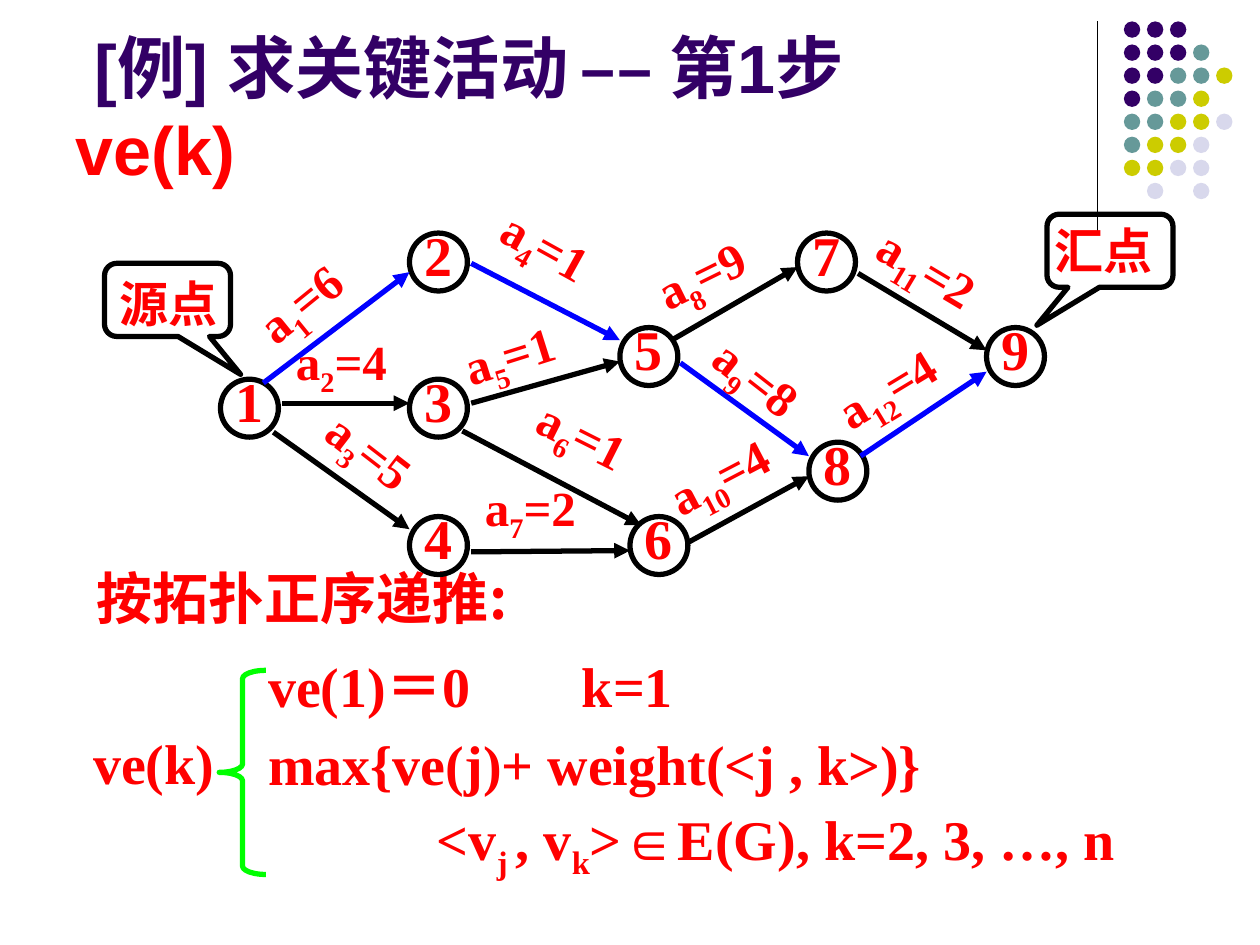
from dataclasses import dataclass

from lxml import etree
from pptx import Presentation
from pptx import util as u
from pptx.dml.color import RGBColor
from pptx.enum import shapes as s, text as t
from pptx.oxml.ns import qn


@dataclass(frozen=True)
class Theme:
    ink: str = "000000"
    red: str = "FF0000"
    blue: str = "0000FF"
    green: str = "00FF00"
    plum: str = "330066"
    teal: str = "669999"
    lime: str = "CCCC00"
    pale: str = "D8D8EC"
    head: int = 39
    body: int = 32
    label: int = 28
    line: float = 3
    sans: str = "Arial"
    serif: str = "Times New Roman"
    cjk: str = "Noto Sans CJK SC"


@dataclass(frozen=True)
class Node:
    name: str
    left: float
    top: float


@dataclass(frozen=True)
class Edge:
    """An arrow with its label; bars in the label enclose a subscript."""
    start: tuple[float, float]
    end: tuple[float, float]
    label: str
    spot: tuple[float, float]
    turn: float = 0
    wide: float = 1.42
    color: str = Theme.ink


@dataclass(frozen=True)
class Call:
    label: str
    box: tuple[float, float, float, float]
    spot: tuple[float, float]
    tip: float


T = Theme()
NODES = [
    Node("4", 3.25, 4.1), Node("3", 3.25, 3.01), Node("6", 5, 4.1),
    Node("2", 3.25, 1.85), Node("5", 4.92, 2.6), Node("1", 1.75, 3.01),
    Node("9", 7.83, 2.6), Node("7", 6.33, 1.85), Node("8", 6.42, 3.51),
]
EDGES = [
    Edge((2.09, 3.04), (3.25, 2.16), "a|1|=6", (1.91, 2.03), 320.9, 1.17, T.blue),
    Edge((2.24, 3.2), (3.25, 3.2), "a|2|=4", (2.25, 2.58)),
    Edge((2.17, 3.43), (3.25, 4.2), "a|3|=5", (2.41, 3.44), 37.7),
    Edge((3.74, 2.09), (4.92, 2.7), "a|4|=1", (3.83, 1.78), 28.9, color=T.blue),
    Edge((3.74, 3.2), (4.92, 2.87), "a|5|=1", (3.58, 2.45), 342.4),
    Edge((3.67, 3.42), (5.09, 4.17), "a|6|=1", (4.15, 3.18), 26.7, 1),
    Edge((3.74, 4.38), (5, 4.37), "a|7|=2", (3.75, 3.74)),
    Edge((5.33, 2.7), (6.33, 2.12), "a|8|=9", (5.09, 1.78), 333.8),
    Edge((5.4, 2.88), (6.42, 3.62), "a|9|=8", (5.48, 2.86), 38, color=T.blue),
    Edge((5.47, 4.3), (6.42, 3.78), "a|10|=4", (5.18, 3.4), 332.4),
    Edge((6.81, 2.17), (7.83, 2.78), "a|11|=2", (6.81, 1.94), 30.9),
    Edge((6.83, 3.62), (7.83, 2.95), "a|12|=4", (6.51, 2.69), 328.8, color=T.blue),
]
CALLS = [
    Call("汇点", (8.31, 1.7, 1, 0.58), (8.17, 1.7), -0.58),
    Call("源点", (0.83, 2.09, 1, 0.58), (0.75, 2.12), 0.58),
]
DOTS = ["PPP", "PPPT", "PPTTY", "PTTY", "TTYYL", "TYYL", "YYLL", " L L"]
HUES = {"P": T.plum, "T": T.teal, "Y": T.lime, "L": T.pale}


def rgb(color: str) -> RGBColor:
    return RGBColor.from_string(color)


def put(para, words: str, *, size: int = T.body, color: str = T.red,
        face: str = T.serif) -> None:
    """Add bold runs; bars enclose subscripts and newlines break the line."""
    for i, part in enumerate(words.split("|")):
        for j, piece in enumerate(part.split("\n")):
            if j:
                para.add_line_break()
            run = para.add_run()
            run.text = piece
            font = run.font
            font.size, font.bold, font.name = u.Pt(size), True, face
            font.color.rgb = rgb(color)
            props = run._r.get_or_add_rPr()
            etree.SubElement(props, qn("a:ea"), typeface=T.cjk)
            if i % 2:
                props.set("baseline", "-25000")


def set_tab(para, pos: float) -> None:
    tabs = etree.SubElement(para._p.get_or_add_pPr(), qn("a:tabLst"))
    etree.SubElement(tabs, qn("a:tab"), pos=str(u.Inches(pos)), algn="l")


def add_text(slide, box, words: str = "", *, turn: float = 0,
             center: bool = False, **style):
    """Return the first paragraph of a new text box."""
    shape = slide.shapes.add_textbox(*map(u.Inches, box))
    shape.rotation = turn
    frame = shape.text_frame
    frame.word_wrap = True
    frame.auto_size = t.MSO_AUTO_SIZE.SHAPE_TO_FIT_TEXT
    para = frame.paragraphs[0]
    para.alignment = t.PP_ALIGN.CENTER if center else t.PP_ALIGN.LEFT
    if words:
        put(para, words, **style)
    return para


def add_shape(slide, kind, box, *, fill: str = "", line: str = ""):
    shape = slide.shapes.add_shape(kind, *map(u.Inches, box))
    shape.shadow.inherit = False
    if fill:
        shape.fill.solid()
        shape.fill.fore_color.rgb = rgb(fill)
    else:
        shape.fill.background()
    if line:
        shape.line.color.rgb = rgb(line)
        shape.line.width = u.Pt(T.line)
    else:
        shape.line.fill.background()
    return shape


def add_line(slide, start, end, *, color: str = T.ink, width: float = T.line,
             arrow: bool = True) -> None:
    line = slide.shapes.add_connector(
        s.MSO_CONNECTOR.STRAIGHT, *map(u.Inches, (*start, *end)))
    line.line.color.rgb = rgb(color)
    line.line.width = u.Pt(width)
    if arrow:
        etree.SubElement(line.line._get_or_add_ln(), qn("a:tailEnd"), type="triangle")
    etree.SubElement(line._element.spPr, qn("a:effectLst"))


def add_title(slide) -> None:
    title = slide.shapes.title
    title.left, title.top, title.width, title.height = map(
        u.Inches, (0.5, 0.13, 8.25, 1.42))
    frame = title.text_frame
    frame.auto_size = t.MSO_AUTO_SIZE.NONE
    frame.vertical_anchor = t.MSO_ANCHOR.BOTTOM
    para = frame.paragraphs[0]
    para.alignment = t.PP_ALIGN.LEFT
    para._p.get_or_add_pPr().set("indent", str(u.Inches(0.15)))
    set_tab(para, 4.57)
    put(para, "[例] 求关键活动\t–– 第1步\n", size=T.head, color=T.plum, face=T.sans)
    put(para, "ve(k)", size=T.head, face=T.sans)


def add_rule(slide) -> None:
    """Draw the braced definition of ve(k)."""
    brace = add_shape(slide, s.MSO_SHAPE.LEFT_BRACE, (1.74, 5.32, 0.37, 1.62),
                      line=T.green)
    brace.adjustments[0] = 0.18
    add_text(slide, (0.64, 5.73, 1.32, 0.64), "ve(k)")
    first = add_text(slide, (2.03, 5.07, 7.97, 2.05))
    last = first._parent.add_paragraph()
    cases = [
        (first, 2.49, "ve(1)＝0\tk=1"),
        (last, 1.34, "max{ve(j)+ weight(<j , k>)}\n"
                     "\t<v|j |, v|k|>∈E(G), k=2, 3, …, n"),
    ]
    for para, stop, words in cases:
        para.line_spacing, para.space_before = 1.1, u.Pt(2)
        set_tab(para, stop)
        put(para, words)


def main() -> None:
    deck = Presentation()
    deck.slide_width, deck.slide_height = u.Inches(10), u.Inches(7.5)
    slide = deck.slides.add_slide(deck.slide_layouts[5])
    add_line(slide, (8.71, 0.17), (8.71, 1.83), width=0.75, arrow=False)
    for row, marks in enumerate(DOTS):
        for col, mark in enumerate(marks):
            if mark in HUES:
                box = (8.92 + 0.183 * col, 0.17 + 0.183 * row, 0.13, 0.13)
                add_shape(slide, s.MSO_SHAPE.OVAL, box, fill=HUES[mark])
    add_title(slide)
    add_rule(slide)
    add_text(slide, (0.67, 4.42, 3.73, 0.63), "按拓扑正序递推:", face=T.cjk)
    for node in NODES:
        add_shape(slide, s.MSO_SHAPE.OVAL, (node.left, node.top, 0.46, 0.46), line=T.ink)
        add_text(slide, (node.left + 0.02, node.top - 0.15, 0.34, 0.64),
                 node.name, center=True)
    for edge in EDGES:
        add_line(slide, edge.start, edge.end, color=edge.color)
        add_text(slide, (*edge.spot, edge.wide, 0.63), edge.label,
                 turn=edge.turn, size=T.label)
    for call in CALLS:
        add_text(slide, (*call.spot, 1.17, 0.57), call.label, center=True, size=T.label)
        bubble = add_shape(slide, s.MSO_SHAPE.ROUNDED_RECTANGULAR_CALLOUT, call.box,
                           line=T.ink)
        bubble.adjustments[0], bubble.adjustments[1] = call.tip, 1.02
    deck.save("out.pptx")


if __name__ == "__main__":
    main()
